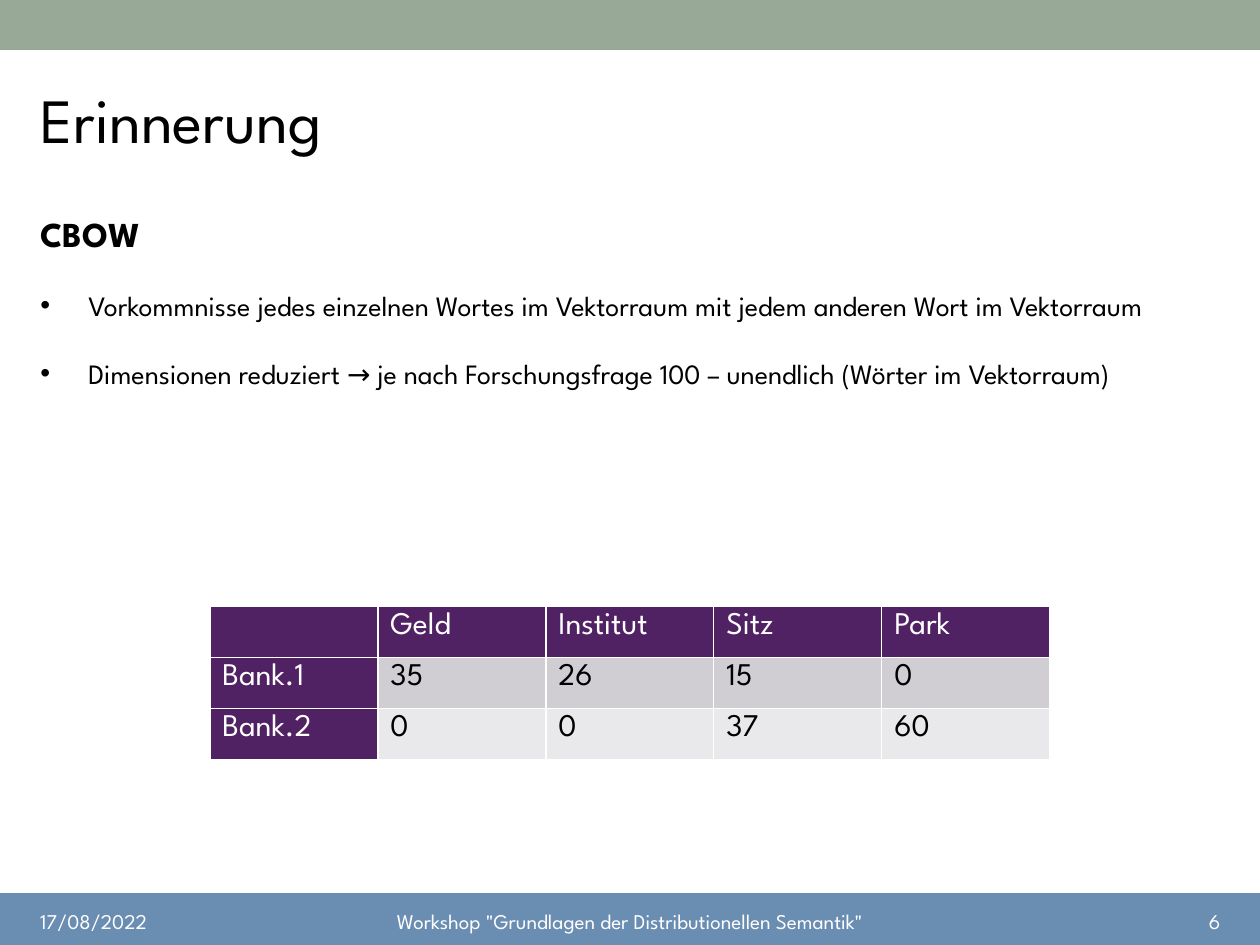
from dataclasses import dataclass

from lxml.etree import SubElement
from pptx import Presentation
from pptx.dml.color import RGBColor
from pptx.enum.shapes import MSO_SHAPE as Preset
from pptx.enum.text import MSO_ANCHOR as Anchor, MSO_AUTO_SIZE as AutoSize, PP_ALIGN as Align
from pptx.oxml.ns import qn
from pptx.util import Cm, Pt

FONT = "League Spartan"
BLACK, WHITE = "000000", "FFFFFF"
PURPLE = "512263"
ROW_FILLS = ["D0CDD3", "E9E8EA"]
BULLET_INDENT = Cm(0.97)


@dataclass
class Box:
    left: float
    top: float
    width: float
    height: float

    def lengths(self) -> tuple:
        return Cm(self.left), Cm(self.top), Cm(self.width), Cm(self.height)


@dataclass
class Bar:
    box: Box
    color: str


@dataclass
class FooterField:
    text: str
    left: float
    width: float
    align: Align


@dataclass
class BodyLine:
    text: str
    size: int
    bold: bool = False
    bullet: bool = False


BARS = [
    Bar(Box(0, 18.03, 25.4, 1), "6A8DB2"),
    Bar(Box(0, 0, 25.4, 1), "99A997"),
]
BODY_LINES = [
    BodyLine("CBOW", 20, bold=True),
    BodyLine(
        "Vorkommnisse jedes einzelnen Wortes im Vektorraum mit jedem anderen Wort im Vektorraum",
        16, bullet=True),
    BodyLine(
        "Dimensionen reduziert → je nach Forschungsfrage 100 – unendlich (Wörter im Vektorraum)",
        16, bullet=True),
]
FOOTER_FIELDS = [
    FooterField("17/08/2022", 0.56, 5.72, Align.LEFT),
    FooterField('Workshop "Grundlagen der Distributionellen Semantik"', 6.81, 11.79, Align.CENTER),
    FooterField("6", 19.13, 5.72, Align.RIGHT),
]
COUNTS = [
    ["", "Geld", "Institut", "Sitz", "Park"],
    ["Bank.1", "35", "26", "15", "0"],
    ["Bank.2", "0", "0", "37", "60"],
]


def rgb(color: str) -> RGBColor:
    return RGBColor.from_string(color)


def place(shape, box: Box) -> None:
    shape.left, shape.top, shape.width, shape.height = box.lengths()


def set_font(paragraph, size: int, color: str, bold: bool = False) -> None:
    font = paragraph.font
    font.name, font.size, font.bold = FONT, Pt(size), bold
    font.color.rgb = rgb(color)


def set_bullet(paragraph, bullet: bool) -> None:
    properties = paragraph._p.get_or_add_pPr()
    indent = BULLET_INDENT if bullet else 0
    properties.set("marL", str(indent))
    properties.set("indent", str(-indent))
    if bullet:
        SubElement(properties, qn("a:buFont"), typeface="Arial")
        SubElement(properties, qn("a:buChar"), char="•")
    else:
        SubElement(properties, qn("a:buNone"))


def draw_bar(slide, bar: Bar) -> None:
    shape = slide.shapes.add_shape(Preset.RECTANGLE, *bar.box.lengths())
    shape.shadow.inherit = False
    shape.fill.solid()
    shape.fill.fore_color.rgb = rgb(bar.color)
    shape.line.color.rgb = rgb(bar.color)
    shape.line.width = Pt(1)


def fill_title(title) -> None:
    place(title, Box(0.56, 1.37, 21.89, 2.01))
    frame = title.text_frame
    frame.text = "Erinnerung"
    frame.auto_size = AutoSize.NONE
    frame.vertical_anchor = Anchor.MIDDLE
    paragraph = frame.paragraphs[0]
    paragraph.alignment = Align.LEFT
    set_font(paragraph, 36, BLACK)


def fill_body(body, lines: list[BodyLine]) -> None:
    place(body, Box(0.56, 3.73, 24.31, 13.94))
    frame = body.text_frame
    frame.text = "\n".join(line.text for line in lines)
    frame.auto_size = AutoSize.NONE
    for paragraph, line in zip(frame.paragraphs, lines):
        paragraph.line_spacing = 1.5
        paragraph.space_before = Pt(10)
        set_bullet(paragraph, line.bullet)
        set_font(paragraph, line.size, BLACK, line.bold)


def draw_footer_field(slide, field: FooterField) -> None:
    box = Box(field.left, 18.26, field.width, 0.61)
    frame = slide.shapes.add_textbox(*box.lengths()).text_frame
    frame.word_wrap = True
    frame.vertical_anchor = Anchor.MIDDLE
    frame.text = field.text
    paragraph = frame.paragraphs[0]
    paragraph.alignment = field.align
    set_font(paragraph, 12, WHITE)


def draw_table(slide, rows: list[list[str]]) -> None:
    box = Box(4.23, 12.22, 16.93, 3.09)
    table = slide.shapes.add_table(len(rows), len(rows[0]), *box.lengths()).table
    table.first_col = True
    for row, texts in enumerate(rows):
        for column, text in enumerate(texts):
            header = row == 0 or column == 0
            cell = table.cell(row, column)
            cell.text = text
            cell.fill.solid()
            cell.fill.fore_color.rgb = rgb(PURPLE if header else ROW_FILLS[row - 1])
            set_font(cell.text_frame.paragraphs[0], 18, WHITE if header else BLACK)


def main() -> None:
    presentation = Presentation()
    presentation.slide_width, presentation.slide_height = Cm(25.4), Cm(19.05)
    slide = presentation.slides.add_slide(presentation.slide_layouts[1])
    for bar in BARS:
        draw_bar(slide, bar)
    fill_title(slide.shapes.title)
    fill_body(slide.placeholders[1], BODY_LINES)
    for field in FOOTER_FIELDS:
        draw_footer_field(slide, field)
    draw_table(slide, COUNTS)
    presentation.save("out.pptx")


if __name__ == "__main__":
    main()
